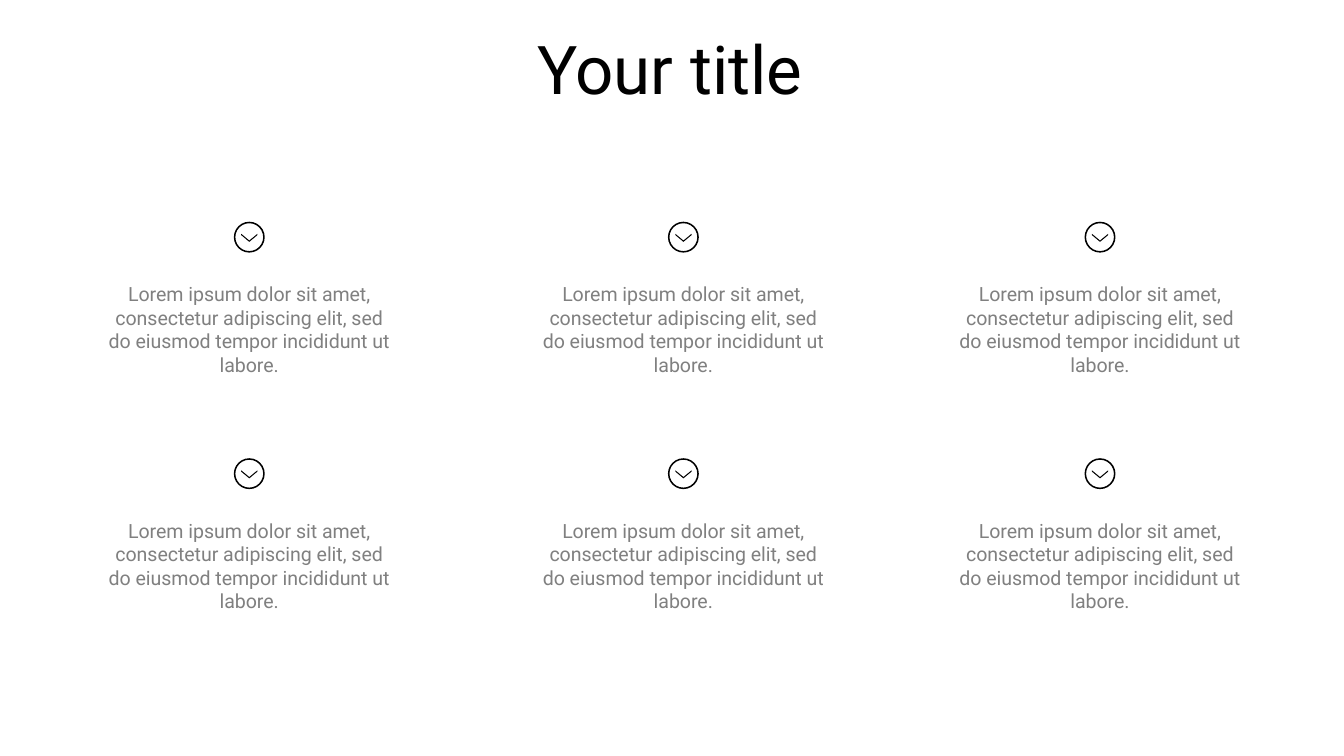
from pptx import Presentation
from pptx.dml.color import RGBColor
from pptx.enum.shapes import MSO_SHAPE as Shape
from pptx.enum.text import MSO_ANCHOR as Anchor, PP_ALIGN as Align
from pptx.util import Inches, Pt

COLORS = {"ink": "000000", "body": "808080", "paper": "FFFFFF"}
FONT = "Roboto"
BODY = ("Lorem ipsum dolor sit amet, consectetur adipiscing elit, "
        "sed do eiusmod tempor incididunt ut labore.")
COLUMNS = [0.69, 3.92, 7.02]
ROWS = [1.65, 3.41]
TEXT_WIDTH, TEXT_HEIGHT, TEXT_DROP = 2.33, 0.9, 0.4
ICON_SIZE = 0.23
# Chevron outline, measured from the icon's top centre
CHEVRON = [(-0.06, 0.09), (0, 0.14), (0.06, 0.09),
           (0.06, 0.1), (0, 0.15), (-0.06, 0.1)]


def write_text(frame, text, size, color):
    frame.word_wrap = True
    frame.vertical_anchor = Anchor.TOP
    frame.text = text
    para = frame.paragraphs[0]
    para.alignment = Align.CENTER
    font = para.runs[0].font
    font.name, font.size = FONT, Pt(size)
    font.color.rgb = RGBColor.from_string(COLORS[color])
    return para


def fill_ink(shape):
    shape.shadow.inherit = False
    shape.fill.solid()
    shape.fill.fore_color.rgb = RGBColor.from_string(COLORS["ink"])
    shape.line.fill.background()


# Page, 16:9
deck = Presentation()
deck.slide_width = Inches(10)
deck.slide_height = deck.slide_width * 9 // 16
page = deck.slides.add_slide(deck.slide_layouts[5])
page.background.fill.solid()
page.background.fill.fore_color.rgb = RGBColor.from_string(COLORS["paper"])

# Title
title = page.shapes.title
title.left, title.top = Inches(0.35), Inches(0.27)
title.width, title.height = Inches(9.27), Inches(0.67)
write_text(title.text_frame, "Your title", 36, "ink").line_spacing = Pt(35)

# Grid of icons with text below
for top in ROWS:
    for left in COLUMNS:
        box = page.shapes.add_textbox(Inches(left), Inches(top + TEXT_DROP),
                                      Inches(TEXT_WIDTH), Inches(TEXT_HEIGHT))
        write_text(box.text_frame, BODY, 10.5, "body").space_before = Pt(10)

        center = left + TEXT_WIDTH / 2
        ring = page.shapes.add_shape(
            Shape.DONUT, Inches(center - ICON_SIZE / 2), Inches(top),
            Inches(ICON_SIZE), Inches(ICON_SIZE))
        ring.adjustments[0] = 0.05
        fill_ink(ring)

        points = [(Inches(center + x), Inches(top + y)) for x, y in CHEVRON]
        outline = page.shapes.build_freeform(*points[0])
        outline.add_line_segments(points[1:], close=True)
        fill_ink(outline.convert_to_shape())

deck.save("out.pptx")
